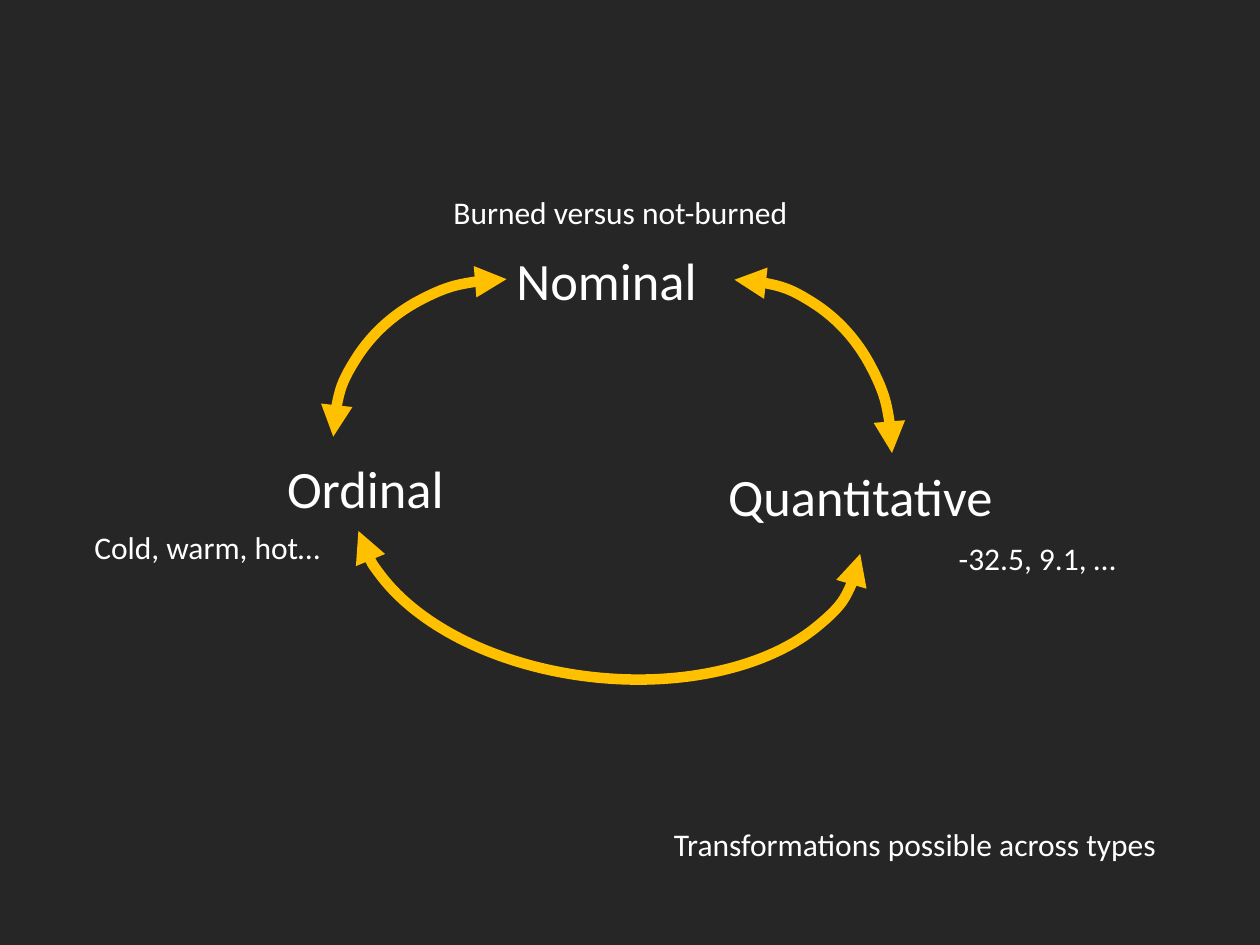
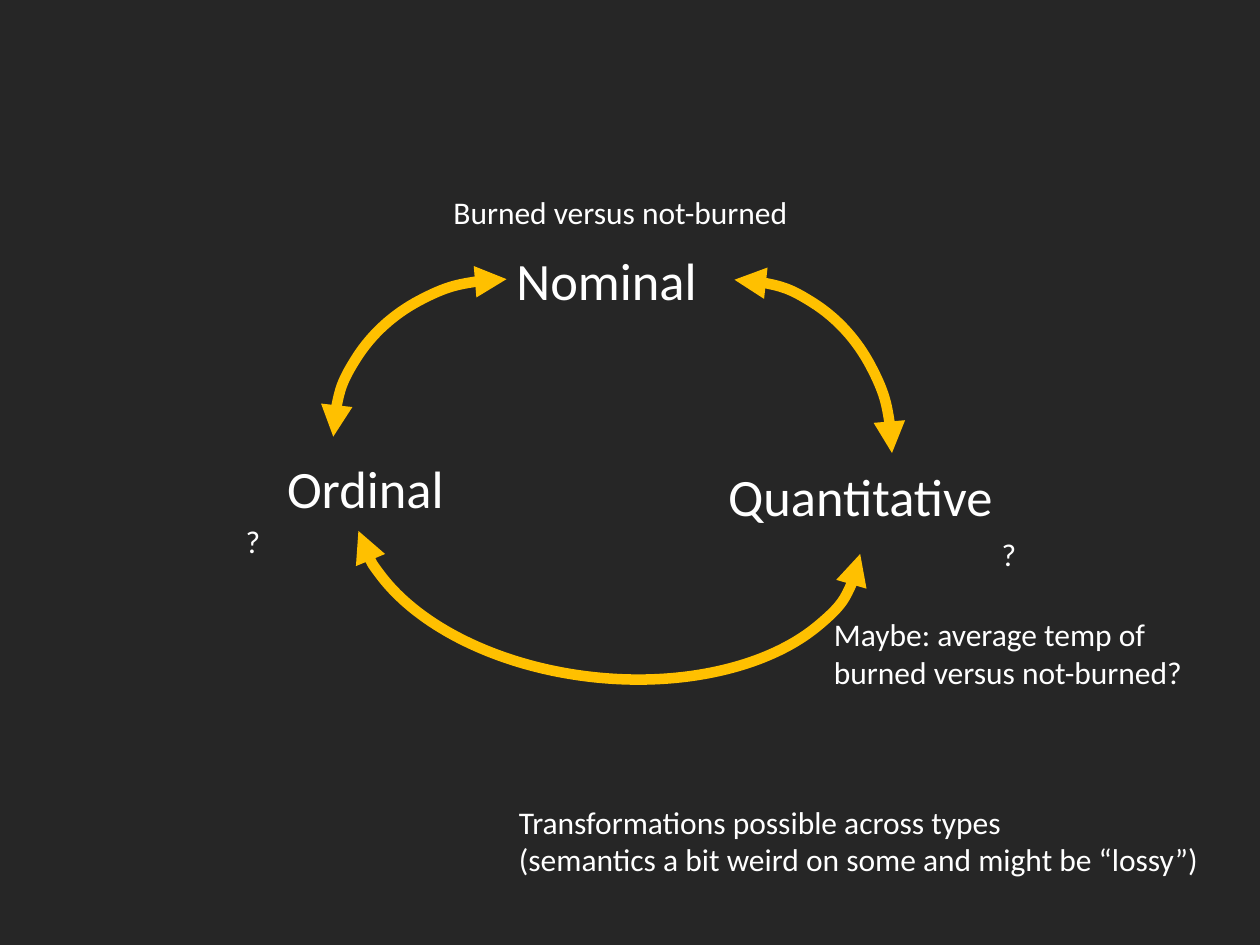
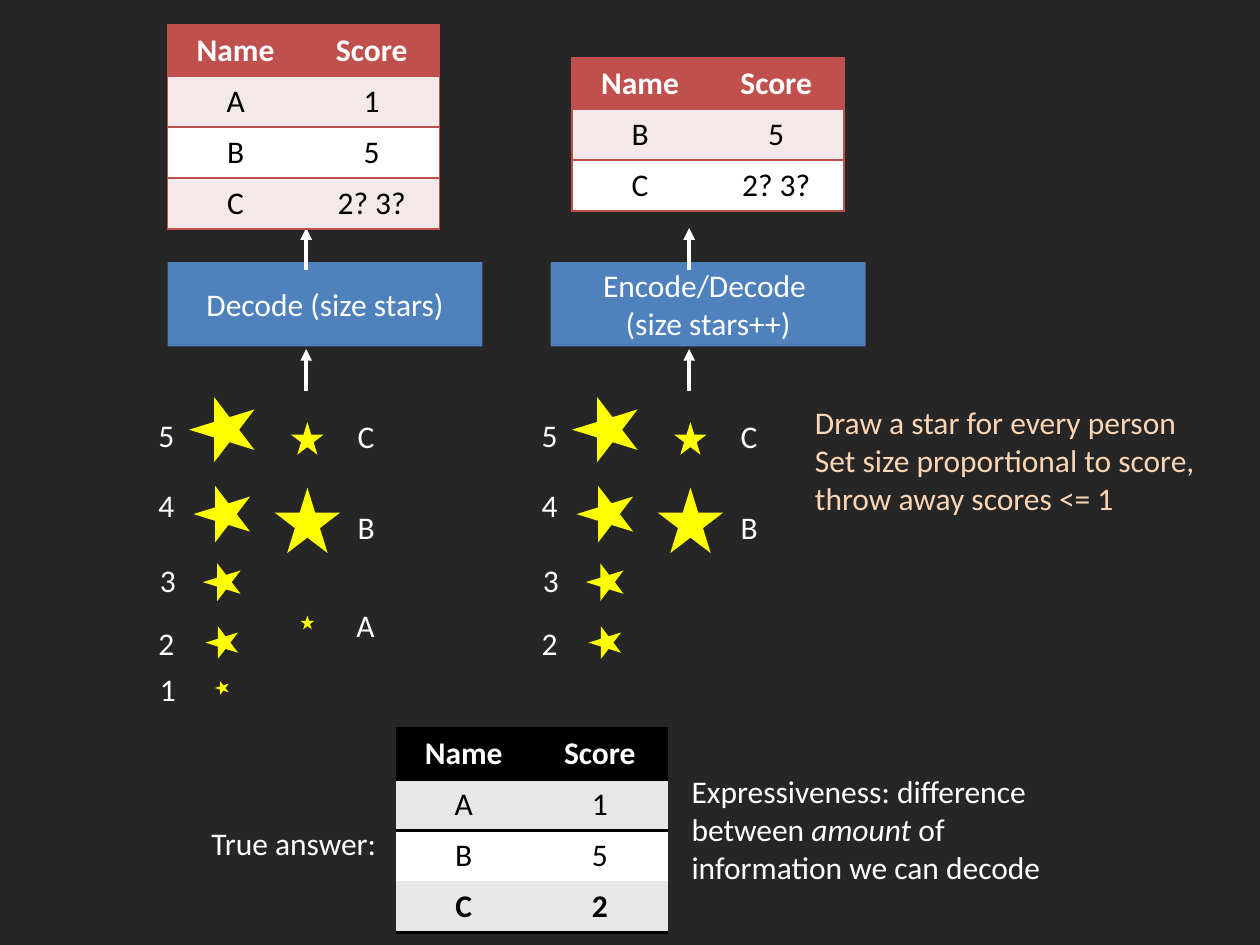
from typing import NamedTuple, Optional

from lxml.etree import SubElement
from pptx import Presentation
from pptx.dml.color import RGBColor
from pptx.enum.shapes import MSO_CONNECTOR, MSO_SHAPE
from pptx.enum.text import MSO_AUTO_SIZE, PP_ALIGN
from pptx.oxml.ns import qn
from pptx.shapes.autoshape import Shape
from pptx.slide import Slide
from pptx.table import _Cell
from pptx.text.text import TextFrame
from pptx.util import Inches, Pt

CHARCOAL = RGBColor(0x26, 0x26, 0x26)
WHITE = RGBColor(0xFF, 0xFF, 0xFF)
BLACK = RGBColor(0x00, 0x00, 0x00)
AMBER = RGBColor(0xFF, 0xC0, 0x00)
YELLOW = RGBColor(0xFF, 0xFF, 0x00)
BLUE = RGBColor(0x4F, 0x81, 0xBD)
RED = RGBColor(0xC0, 0x50, 0x4D)
PINK = RGBColor(0xF4, 0xE9, 0xE9)
GREY = RGBColor(0xE7, 0xE7, 0xE7)
PEACH = RGBColor(0xFC, 0xD5, 0xB5)

FONT = "Calibri"
BODY_SIZE = 18
TYPE_SIZE = 30
LINE_HEIGHT = 0.4
NO_TABLE_STYLE = "{2D5ABB26-0587-4C30-8999-92F81FD0307C}"

COLUMN_WIDTH = 1.08
ROW_HEIGHT = 0.405
DECODER_STEP = 3.04
SCORE_AXIS = 1.76
PERSON_AXIS = 2.44
ARROW_AXIS = 2.43


class Label(NamedTuple):
    text: str
    left: float
    top: float
    width: float
    height: float = LINE_HEIGHT
    size: int = BODY_SIZE
    color: RGBColor = WHITE
    wrap: bool = False


class Arc(NamedTuple):
    left: float
    top: float
    width: float
    height: float
    rotation: float = 0
    angles: Optional[tuple[float, float]] = None


class ScoreMark(NamedTuple):
    star_size: float
    star_middle: float
    label_left: float
    label_top: float


class Person(NamedTuple):
    name: str
    score: int
    star_middle: float
    label_left: float
    label_top: float


class TableLook(NamedTuple):
    accent: RGBColor
    band: RGBColor
    rule_width: float
    boxed: bool
    bold_last: bool


DATA_TYPES = [
    Label("Nominal", 4, 1.92, 1.65, 0.61, TYPE_SIZE),
    Label("Ordinal", 2.18, 3.57, 1.46, 0.61, TYPE_SIZE),
    Label("Quantitative", 5.68, 3.63, 2.32, 0.61, TYPE_SIZE),
    Label("Burned versus not-burned", 3.5, 1.48, 2.89),
]
TRANSFORMATIONS = [
    Arc(4.58, 2.22, 2.5, 2.75),
    Arc(3.61, 2.15, 2.43, 4.03, 96.6, (162, 49.18)),
    Arc(2.77, 2.09, 2.5, 2.75, 270),
]
EXAMPLES = [
    Label("Transformations possible across types", 5.25, 6.5, 4.1),
    Label("-32.5, 9.1, …", 7.51, 4.23, 1.48),
    Label("Cold, warm, hot…", 0.65, 4.14, 2.03),
]
OPEN_QUESTIONS = [
    Label(
        "Transformations possible across types\n"
        "(semantics a bit weird on some and might be “lossy”)",
        4.02, 6.32, 5.66, 0.71,
    ),
    Label("?", 7.85, 4.2, 0.32),
    Label("?", 1.85, 4.09, 0.32),
    Label("Maybe: average temp of burned versus not-burned?",
          6.52, 4.83, 3.29, 0.71, wrap=True),
]

SCORE_MARKS = {
    1: ScoreMark(0.11, 5.46, 1.17, 5.27),
    2: ScoreMark(0.26, 5.1, 1.16, 4.9),
    3: ScoreMark(0.3, 4.62, 1.17, 4.4),
    4: ScoreMark(0.45, 4.08, 1.16, 3.81),
    5: ScoreMark(0.52, 3.41, 1.16, 3.25),
}
PEOPLE = [
    Person("A", 1, 4.94, 2.73, 4.76),
    Person("B", 5, 4.13, 2.74, 3.98),
    Person("C", 2, 3.48, 2.74, 3.26),
]
EXPRESSIVENESS_NOTES = [
    Label("True answer:", 1.58, 6.49, 1.53),
    Label("Expressiveness: difference between *amount* of information we can decode",
          5.39, 6.08, 3.41, 1.01, wrap=True),
    Label("Draw a star for every person\n"
          "Set size proportional to score, throw away scores <= 1",
          6.37, 3.15, 3.5, 1.01, color=PEACH, wrap=True),
]
HEADER = ("Name", "Score")
DECODED = [("A", "1"), ("B", "5"), ("C", "2? 3?")]
TRUE_ANSWER = [("A", "1"), ("B", "5"), ("C", "2")]
DECODED_LOOK = TableLook(RED, PINK, 1, boxed=True, bold_last=False)
TRUE_LOOK = TableLook(BLACK, GREY, 2, boxed=False, bold_last=True)


def write(frame: TextFrame, text: str, *, size: int = BODY_SIZE,
          color: RGBColor = WHITE, bold: bool = False,
          align: PP_ALIGN = PP_ALIGN.LEFT) -> None:
    """Write one paragraph per line; words between asterisks are italic."""
    for index, line in enumerate(text.split("\n")):
        paragraph = frame.add_paragraph() if index else frame.paragraphs[0]
        paragraph.alignment = align
        for part, words in enumerate(line.split("*")):
            run = paragraph.add_run()
            run.text = words
            run.font.name = FONT
            run.font.size = Pt(size)
            run.font.color.rgb = color
            run.font.bold = bold
            run.font.italic = part % 2 == 1


def add_label(slide: Slide, label: Label) -> None:
    box = slide.shapes.add_textbox(Inches(label.left), Inches(label.top),
                                   Inches(label.width), Inches(label.height))
    frame = box.text_frame
    frame.word_wrap = label.wrap
    frame.auto_size = MSO_AUTO_SIZE.SHAPE_TO_FIT_TEXT
    write(frame, label.text, size=label.size, color=label.color)


def add_filled(slide: Slide, kind: MSO_SHAPE, left: float, top: float,
               width: float, height: float, color: RGBColor) -> Shape:
    shape = slide.shapes.add_shape(kind, Inches(left), Inches(top),
                                   Inches(width), Inches(height))
    shape.shadow.inherit = False
    shape.fill.solid()
    shape.fill.fore_color.rgb = color
    shape.line.fill.background()
    return shape


def add_star(slide: Slide, center: float, middle: float, size: float,
             rotation: float = 0) -> None:
    star = add_filled(slide, MSO_SHAPE.STAR_5_POINT, center - size / 2,
                      middle - size / 2, size, size, YELLOW)
    star.rotation = rotation


def add_arc(slide: Slide, arc: Arc) -> None:
    curve = slide.shapes.add_shape(MSO_SHAPE.ARC, Inches(arc.left), Inches(arc.top),
                                   Inches(arc.width), Inches(arc.height))
    curve.shadow.inherit = False
    curve.rotation = arc.rotation
    if arc.angles:
        curve.adjustments[0], curve.adjustments[1] = arc.angles
    curve.fill.background()
    curve.line.color.rgb = AMBER
    curve.line.width = Pt(6)
    for end in ("a:headEnd", "a:tailEnd"):
        SubElement(curve.line._get_or_add_ln(), qn(end), type="triangle")


def add_up_arrow(slide: Slide, x: float, top: float, length: float = 0.33) -> None:
    arrow = slide.shapes.add_connector(MSO_CONNECTOR.STRAIGHT, Inches(x), Inches(top),
                                       Inches(x), Inches(top + length))
    arrow.line.color.rgb = WHITE
    arrow.line.width = Pt(2.25)
    SubElement(arrow.line._get_or_add_ln(), qn("a:headEnd"), type="triangle")
    SubElement(arrow._element.spPr, qn("a:effectLst"))


def set_borders(cell: _Cell, sides: str, color: RGBColor, width: float) -> None:
    """Rule the sides named by the letters L, R, T and B."""
    properties = cell._tc.get_or_add_tcPr()
    for position, side in enumerate(s for s in "LRTB" if s in sides):
        rule = properties.makeelement(qn(f"a:ln{side}"), {"w": str(Pt(width))})
        fill = SubElement(rule, qn("a:solidFill"))
        SubElement(fill, qn("a:srgbClr"), val=str(color))
        properties.insert(position, rule)


def add_score_table(slide: Slide, left: float, top: float,
                    scores: list[tuple[str, str]], look: TableLook) -> None:
    rows = [HEADER, *scores]
    last = len(rows) - 1
    table = slide.shapes.add_table(
        len(rows), len(HEADER), Inches(left), Inches(top),
        Inches(COLUMN_WIDTH * len(HEADER)), Inches(ROW_HEIGHT * len(rows))).table
    table._tbl.tblPr.find(qn("a:tableStyleId")).text = NO_TABLE_STYLE
    for column in table.columns:
        column.width = Inches(COLUMN_WIDTH)
    for r, values in enumerate(rows):
        table.rows[r].height = Inches(ROW_HEIGHT)
        for c, value in enumerate(values):
            cell = table.cell(r, c)
            cell.fill.solid()
            cell.fill.fore_color.rgb = (
                look.accent if r == 0 else look.band if r % 2 else WHITE)
            write(cell.text_frame, value, color=BLACK if r else WHITE,
                  bold=r == 0 or (look.bold_last and r == last),
                  align=PP_ALIGN.CENTER)
            if look.boxed:
                sides = "TB" + "LR"[c]
            else:
                sides = {0: "TB", 1: "T", last: "B"}.get(r, "")
            set_borders(cell, sides, look.accent, look.rule_width)


def add_decoder(slide: Slide, title: str, offset: float, lowest_score: int) -> None:
    """Draw a decoding box, its arrows and the stars from lowest_score up."""
    box = add_filled(slide, MSO_SHAPE.RECTANGLE, 1.33 + offset, 2.08, 2.5, 0.67, BLUE)
    write(box.text_frame, title, align=PP_ALIGN.CENTER)
    for top in (2.77, 1.81):
        add_up_arrow(slide, ARROW_AXIS + offset, top)
    for score, mark in SCORE_MARKS.items():
        if score >= lowest_score:
            add_star(slide, SCORE_AXIS + offset, mark.star_middle, mark.star_size, 270)
            add_label(slide, Label(str(score), mark.label_left + offset,
                                   mark.label_top, 0.33))
    for person in PEOPLE:
        if person.score >= lowest_score:
            add_star(slide, PERSON_AXIS + offset, person.star_middle,
                     SCORE_MARKS[person.score].star_size)
            add_label(slide, Label(person.name, person.label_left + offset,
                                   person.label_top, 0.34))


def add_slide(deck: Presentation) -> Slide:
    return deck.slides.add_slide(deck.slide_layouts[6])


def add_type_cycle(deck: Presentation, notes: list[Label]) -> None:
    slide = add_slide(deck)
    for arc in TRANSFORMATIONS:
        add_arc(slide, arc)
    for label in DATA_TYPES + notes:
        add_label(slide, label)


def add_expressiveness(deck: Presentation) -> None:
    slide = add_slide(deck)
    add_decoder(slide, "Decode (size stars)", 0, lowest_score=1)
    add_decoder(slide, "Encode/Decode \n(size stars++)", DECODER_STEP, lowest_score=2)
    add_score_table(slide, 1.33, 0.2, DECODED, DECODED_LOOK)
    add_score_table(slide, 4.54, 0.46, DECODED[1:], DECODED_LOOK)
    add_score_table(slide, 3.14, 5.78, TRUE_ANSWER, TRUE_LOOK)
    for note in EXPRESSIVENESS_NOTES:
        add_label(slide, note)


def main() -> None:
    deck = Presentation()
    deck.slide_width, deck.slide_height = Inches(10), Inches(7.5)
    backdrop = deck.slide_master.background.fill
    backdrop.solid()
    backdrop.fore_color.rgb = CHARCOAL
    add_type_cycle(deck, EXAMPLES)
    add_type_cycle(deck, OPEN_QUESTIONS)
    add_expressiveness(deck)
    deck.save("out.pptx")


if __name__ == "__main__":
    main()
